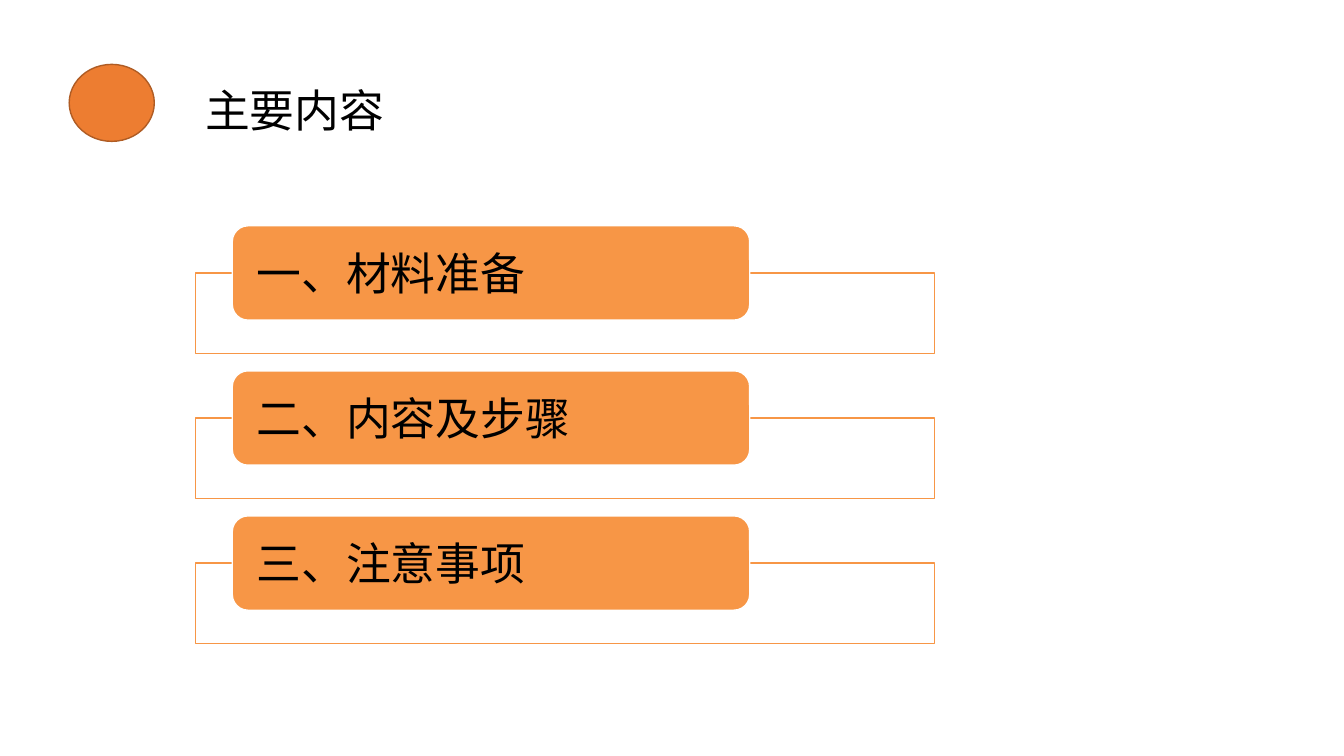
from pptx import Presentation
from pptx.dml.color import RGBColor
from pptx.enum.shapes import MSO_SHAPE as Shape
from pptx.enum.text import MSO_ANCHOR as Anchor, MSO_AUTO_SIZE as Fit, PP_ALIGN as Align
from pptx.oxml.ns import qn
from pptx.util import Pt
from lxml.etree import SubElement

FONT = "Noto Sans CJK SC"
BLACK = RGBColor(0x00, 0x00, 0x00)
WHITE = RGBColor(0xFF, 0xFF, 0xFF)
DOT = RGBColor(0xED, 0x7D, 0x31)
RIM = RGBColor(0xAF, 0x5C, 0x24)
ORANGE = RGBColor(0xF7, 0x96, 0x46)

TOPICS = ["一、材料准备", "二、内容及步骤", "三、注意事项"]


def write(frame, text):
    para = frame.paragraphs[0]
    para.text = text
    para.alignment = Align.LEFT
    font = para.font
    font.size = Pt(32)
    font.color.rgb = BLACK
    font.name = FONT
    # Chinese text takes its typeface from a:ea
    props = para._p.get_or_add_pPr().get_or_add_defRPr()
    SubElement(props, qn("a:ea")).set("typeface", FONT)


def draw(shapes, kind, box, fill, line):
    shape = shapes.add_shape(kind, *map(Pt, box))
    shape.shadow.inherit = False
    shape.fill.solid()
    shape.fill.fore_color.rgb = fill
    shape.line.color.rgb = line
    shape.line.width = Pt(1)
    return shape


def header(slide, left, top):
    draw(slide.shapes, Shape.OVAL, (left, top, 60.8, 55), DOT, RIM)
    title = slide.shapes.add_textbox(Pt(left + 90), Pt(top + 9.4), Pt(246), Pt(46))
    title.text_frame.word_wrap = True
    title.text_frame.auto_size = Fit.SHAPE_TO_FIT_TEXT
    write(title.text_frame, "主要内容")


def topic(shapes, left, top, width, text):
    """Draw an orange label overlapping the top edge of an open frame."""
    frame = draw(shapes, Shape.RECTANGLE, (left, top + 33.6, width, 57.6), WHITE, ORANGE)
    color = frame.fill._xPr.find(qn("a:solidFill"))[0]
    SubElement(color, qn("a:alpha")).set("val", "90000")

    box = (left + width * 0.05, top, width * 0.7, 67.4)
    label = draw(shapes, Shape.ROUNDED_RECTANGLE, box, ORANGE, WHITE)
    body = label.text_frame
    body.word_wrap = True
    body.vertical_anchor = Anchor.MIDDLE
    body.margin_left = body.margin_right = Pt(14)
    body.margin_top = body.margin_bottom = 0
    write(body, text)


def agenda(slide, left, top, width, pitch):
    group = slide.shapes.add_group_shape()
    for i, text in enumerate(TOPICS):
        topic(group.shapes, left, top + i * pitch, width, text)


def main():
    deck = Presentation()
    deck.slide_width, deck.slide_height = Pt(960), Pt(540)
    slide = deck.slides.add_slide(deck.slide_layouts[6])
    header(slide, 49.4, 46)
    agenda(slide, 139.5, 161.3, 528, 103.6)
    deck.save("out.pptx")


if __name__ == "__main__":
    main()
